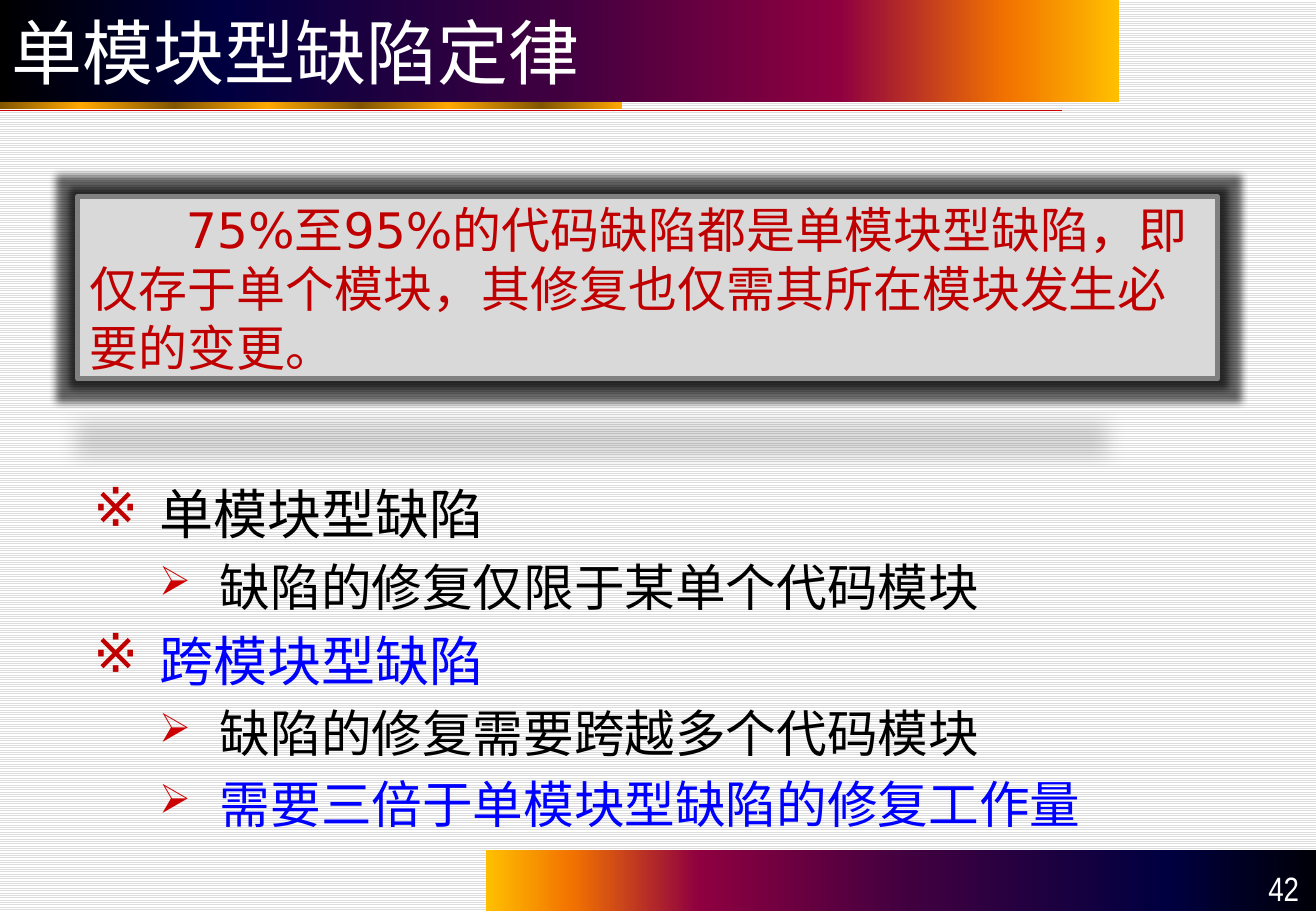
from dataclasses import dataclass

from lxml import etree
from pptx import Presentation
from pptx.dml.color import RGBColor
from pptx.enum.dml import MSO_PATTERN
from pptx.enum.shapes import MSO_CONNECTOR, MSO_SHAPE
from pptx.enum.text import MSO_ANCHOR, PP_ALIGN
from pptx.oxml import parse_xml
from pptx.oxml.ns import qn
from pptx.util import Inches, Pt

RECT = MSO_SHAPE.RECTANGLE
STRAIGHT = MSO_CONNECTOR.STRAIGHT
LINES = MSO_PATTERN.LIGHT_HORIZONTAL
TOP, MIDDLE, BOTTOM = MSO_ANCHOR.TOP, MSO_ANCHOR.MIDDLE, MSO_ANCHOR.BOTTOM
LEFT, RIGHT = PP_ALIGN.LEFT, PP_ALIGN.RIGHT

WHITE = RGBColor(0xFF, 0xFF, 0xFF)
BLACK = RGBColor(0, 0, 0)
BLUE = RGBColor(0, 0, 0xFF)
RED = RGBColor(0xCC, 0, 0)
DARK_RED = RGBColor(0xC0, 0, 0)
GRAY = RGBColor(0x80, 0x80, 0x80)
PALE = RGBColor(0xD9, 0xD9, 0xD9)
RULE = RGBColor(0xDD, 0xDD, 0xDD)
BROWN = RGBColor(0x82, 0x56, 0)
GOLD = RGBColor(0xFF, 0xA8, 0)

SANS, CJK, NARROW = "DejaVu Sans", "Noto Sans CJK SC", "Arial Narrow"
A_NS = "http://schemas.openxmlformats.org/drawingml/2006/main"
SUNSET = [(0, BLACK), (20, RGBColor(0, 0, 0x40)), (50, RGBColor(0x40, 0, 0x40)),
          (75, RGBColor(0x8F, 0, 0x40)), (90, RGBColor(0xF2, 0x73, 0)),
          (100, RGBColor(0xFF, 0xBF, 0))]
STRIPES = [(pos, GOLD if i % 2 else BROWN)
           for i, pos in enumerate((0, 13, 28, 43, 58, 72, 87, 100))]
WAVE = [(3.97, 7.5), (3.97, 7.38), (4.87, 7.25), (4.65, 7.14)]
WAVE_STEPS = 24


@dataclass
class Level:
    bullet: str
    bullet_color: RGBColor
    bullet_size: int
    margin: float
    indent: float
    size: int


@dataclass
class Item:
    text: str
    level: int
    color: RGBColor


LEVELS = [Level("※", DARK_RED, 100, 0.54, -0.54, 32),
          Level("➢", RED, 80, 1.04, -0.5, 30)]
ITEMS = [
    Item("单模块型缺陷", 0, BLACK),
    Item("缺陷的修复仅限于某单个代码模块", 1, BLACK),
    Item("跨模块型缺陷", 0, BLUE),
    Item("缺陷的修复需要跨越多个代码模块", 1, BLACK),
    Item("需要三倍于单模块型缺陷的修复工作量", 1, BLUE),
]


def add_run(p, text: str, font: str, size: int, color: RGBColor) -> None:
    r = p.add_run()
    r.text = text
    for name, value in {"name": font, "size": Pt(size)}.items():
        setattr(r.font, name, value)
    r.font.color.rgb = color
    etree.SubElement(r.font._element, qn("a:ea"), typeface=SANS)


def set_frame(sp, anchor, align=LEFT):
    """Prepare the text frame and return its first paragraph."""
    tf = sp.text_frame
    for name, value in {"word_wrap": True, "vertical_anchor": anchor}.items():
        setattr(tf, name, value)
    p = tf.paragraphs[0]
    p.alignment = align
    return p


def set_indent(p, margin: float, indent: float) -> None:
    pPr = p._p.get_or_add_pPr()
    pPr.set("marL", str(Inches(margin)))
    pPr.set("indent", str(Inches(indent)))


def set_gradient(sp, stops: list, angle: int) -> None:
    sp.shadow.inherit = False
    sp.line.fill.background()
    sp.fill.gradient()
    sp.fill.gradient_angle = angle
    stop_list = sp._element.spPr.find(qn("a:gradFill")).find(qn("a:gsLst"))
    for old in list(stop_list):
        stop_list.remove(old)
    for pos, color in stops:
        gs = etree.SubElement(stop_list, qn("a:gs"), pos=str(pos * 1000))
        etree.SubElement(gs, qn("a:srgbClr"), val=str(color))


def add_rect(s, x: float, y: float, w: float, h: float):
    return s.shapes.add_shape(RECT, Inches(x), Inches(y), Inches(w), Inches(h))


def add_text_box(s, x: float, y: float, w: float, h: float):
    return s.shapes.add_textbox(Inches(x), Inches(y), Inches(w), Inches(h))


def bezier(points: list, t: float) -> tuple:
    weights = ((1 - t) ** 3, 3 * t * (1 - t) ** 2, 3 * t * t * (1 - t), t ** 3)
    return tuple(sum(w * pt[axis] for w, pt in zip(weights, points)) for axis in (0, 1))


def add_footer(s) -> None:
    curve = [bezier(WAVE, i / WAVE_STEPS) for i in range(WAVE_STEPS + 1)]
    outline = curve + [(10.83, 7.14), (10.83, 7.5)]
    fb = s.shapes.build_freeform(*outline[0], scale=float(Inches(1)))
    fb.add_line_segments(outline[1:], close=True)
    set_gradient(fb.convert_to_shape(), SUNSET, 180)
    number = add_text_box(s, 9.83, 7.13, 0.96, 0.4)
    add_run(set_frame(number, BOTTOM, RIGHT), "42", NARROW, 20, WHITE)


def add_header(s) -> None:
    set_gradient(add_rect(s, 0, 0.76, 5.12, 0.14), STRIPES, 0)
    line = s.shapes.add_connector(STRAIGHT, 0, Inches(0.91), Inches(8.74), Inches(0.91))
    line.line.color.rgb = RED
    line.line.width = Pt(1)
    etree.SubElement(line._element.spPr, qn("a:effectLst"))
    title = add_rect(s, 0, 0, 9.21, 0.84)
    set_gradient(title, SUNSET, 0)
    add_run(set_frame(title, MIDDLE), "单模块型缺陷定律", SANS, 42, WHITE)


def add_law(s) -> None:
    """Draw the framed statement with its glow and the shadow below it."""
    sp = add_rect(s, 0.64, 1.62, 9.38, 1.5)
    sp.fill.solid()
    sp.fill.fore_color.rgb = PALE
    sp.line.color.rgb = GRAY
    sp.line.width = Pt(3)
    sp._element.spPr.append(parse_xml(
        f'<a:effectLst xmlns:a="{A_NS}">'
        f'<a:glow rad="{Pt(8)}"><a:srgbClr val="{BLACK}"><a:alpha val="60000"/></a:srgbClr></a:glow>'
        f'<a:outerShdw blurRad="{Pt(12)}" dist="{Pt(25)}" dir="5400000" sx="90000" sy="-19000"'
        f' algn="bl" rotWithShape="0"><a:srgbClr val="{BLACK}"><a:alpha val="15000"/></a:srgbClr>'
        '</a:outerShdw></a:effectLst>'))
    p = set_frame(sp, MIDDLE)
    set_indent(p, 0, 0.79)
    add_run(p, "75%至95%的代码缺陷都是单模块型缺陷，即仅存于单个模块，其修复也仅需其所在模块发生必要的变更。",
            SANS, 29, DARK_RED)


def add_bullet(p, level: Level) -> None:
    set_indent(p, level.margin, level.indent)
    pPr = p._p.get_or_add_pPr()
    color = etree.SubElement(pPr, qn("a:buClr"))
    etree.SubElement(color, qn("a:srgbClr"), val=str(level.bullet_color))
    etree.SubElement(pPr, qn("a:buSzPct"), val=str(level.bullet_size * 1000))
    etree.SubElement(pPr, qn("a:buChar"), char=level.bullet)


def add_body(s, items: list) -> None:
    sp = add_text_box(s, 0.67, 3.91, 9.48, 3.07)
    first = set_frame(sp, TOP)
    for i, item in enumerate(items):
        p = sp.text_frame.add_paragraph() if i else first
        level = LEVELS[item.level]
        p.level = item.level
        add_bullet(p, level)
        if i:
            p.space_before = Pt(level.size * 0.2)
        add_run(p, item.text, CJK, level.size, item.color)


def main() -> None:
    prs = Presentation()
    prs.slide_width, prs.slide_height = Inches(10.83), Inches(7.5)
    s = prs.slides.add_slide(prs.slide_layouts[6])
    fill = s.background.fill
    fill.patterned()
    fill.pattern = LINES
    fill.fore_color.rgb = RULE
    fill.back_color.rgb = WHITE
    add_footer(s)
    add_header(s)
    add_body(s, ITEMS)
    add_law(s)
    prs.save("out.pptx")


if __name__ == "__main__":
    main()
